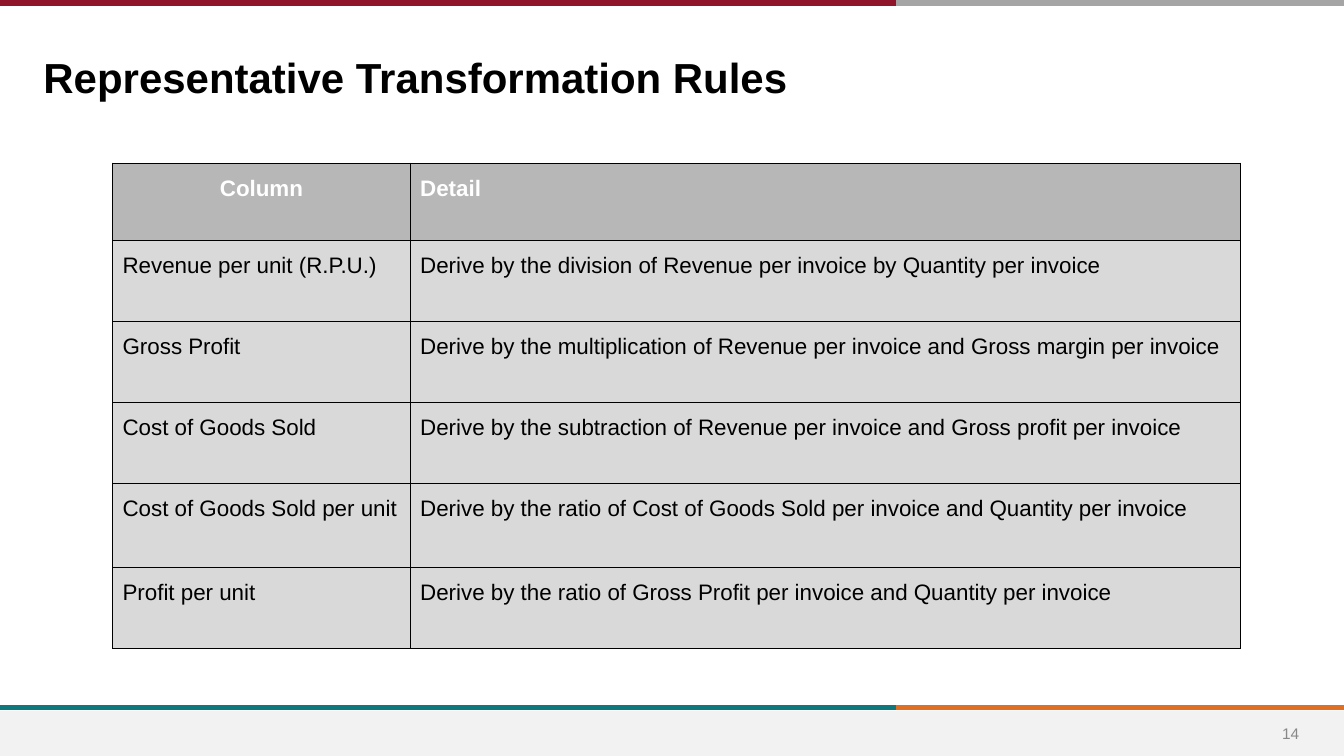
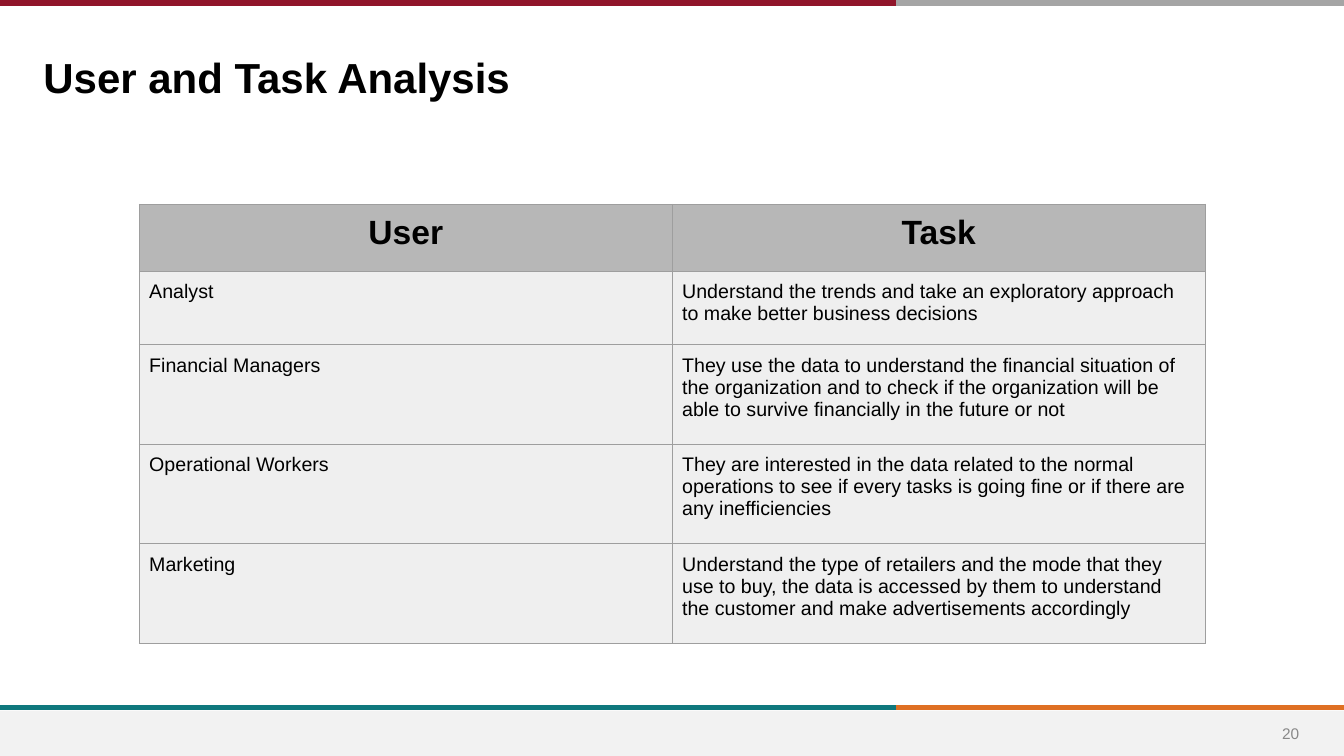
from lxml import etree
from pptx import Presentation
from pptx.dml.color import RGBColor
from pptx.enum.shapes import MSO_CONNECTOR, MSO_SHAPE
from pptx.enum.text import MSO_ANCHOR, MSO_AUTO_SIZE, PP_ALIGN
from pptx.oxml.ns import qn
from pptx.util import Cm, Pt

STRAIGHT = MSO_CONNECTOR.STRAIGHT
RECTANGLE = MSO_SHAPE.RECTANGLE
TOP, MIDDLE = MSO_ANCHOR.TOP, MSO_ANCHOR.MIDDLE
LEFT, CENTER = PP_ALIGN.LEFT, PP_ALIGN.CENTER
NO_AUTOFIT = MSO_AUTO_SIZE.NONE

COLORS = {
    "black": "000000",
    "white": "FFFFFF",
    "crimson": "90152A",
    "gray": "A5A5A5",
    "teal": "0F787D",
    "orange": "DF7023",
    "footer": "F2F2F2",
    "number": "888888",
    "header": "B7B7B7",
    "rule_body": "D9D9D9",
    "task_body": "EFEFEF",
    "task_border": "9E9E9E",
}
FONT = "Arial"
WIDTH, HEIGHT = 33.87, 19.05
SPLIT = round(WIDTH * 2 / 3, 2)
TOP_BAND, BOTTOM_BAND, FOOTER_TOP = 0.08, 17.83, 17.91
CELL_MARGIN = 0.25

RULES = [
    ("Column", "Detail"),
    ("Revenue per unit (R.P.U.)", "Derive by the division of Revenue per invoice by Quantity per invoice"),
    ("Gross Profit", "Derive by the multiplication of Revenue per invoice and Gross margin per invoice"),
    ("Cost of Goods Sold", "Derive by the subtraction of Revenue per invoice and Gross profit per invoice"),
    ("Cost of Goods Sold per unit", "Derive by the ratio of Cost of Goods Sold per invoice and Quantity per invoice"),
    ("Profit per unit", "Derive by the ratio of Gross Profit per invoice and Quantity per invoice"),
]
TASKS = [
    ("User", "Task"),
    ("Analyst", "Understand the trends and take an exploratory approach to make better business decisions"),
    ("Financial Managers", "They use the data to understand the financial situation of the organization and to "
     "check if the organization will be able to survive financially in the future or not"),
    ("Operational Workers", "They are interested in the data related to the normal operations to see if every "
     "tasks is going fine or if there are any inefficiencies"),
    ("Marketing", "Understand the type of retailers and the mode that they use to buy, the data is accessed "
     "by them to understand the customer and make advertisements accordingly"),
]


def rgb(name):
    return RGBColor.from_string(COLORS[name])


class DeckBuilder:
    """Holds the shared style, the deck and the current page."""

    def __init__(self):
        self.deck = Presentation()
        self.deck.slide_width, self.deck.slide_height = Cm(WIDTH), Cm(HEIGHT)
        self.page = None

    def add_page(self, title, number):
        self.page = self.deck.slides.add_slide(self.deck.slide_layouts[5])
        self.band(BOTTOM_BAND, "teal", "orange")
        self.footer()
        self.band(TOP_BAND, "crimson", "gray")
        self.number(number)
        self.title(title)

    def styled_text(self, frame, text, size, color, bold=False, align=LEFT):
        frame.text = text
        para = frame.paragraphs[0]
        para.alignment = align
        font = para.runs[0].font
        font.name, font.size, font.bold = FONT, Pt(size), bold
        font.color.rgb = rgb(color)
        return para

    def title(self, text):
        box = self.page.shapes.title
        box.left, box.top, box.width, box.height = Cm(0.84), Cm(1.17), Cm(27.05), Cm(1.5)
        frame = box.text_frame
        frame.auto_size, frame.vertical_anchor = NO_AUTOFIT, TOP
        self.styled_text(frame, text, 30, "black", bold=True)

    def number(self, number):
        box = self.page.shapes.add_textbox(Cm(31.65), Cm(17.96), Cm(1.75), Cm(1.02))
        frame = box.text_frame
        frame.word_wrap, frame.vertical_anchor = True, MIDDLE
        self.styled_text(frame, str(number), 11, "number", align=CENTER)

    def footer(self):
        box = self.page.shapes.add_shape(
            RECTANGLE, 0, Cm(FOOTER_TOP), Cm(WIDTH), Cm(HEIGHT - FOOTER_TOP))
        box.shadow.inherit = False
        box.fill.solid()
        box.fill.fore_color.rgb = rgb("footer")
        box.line.fill.background()

    def band(self, y, left_color, right_color):
        """Draw a full-width line in two colours, split at two thirds."""
        for start, end, color in ((SPLIT, WIDTH, right_color), (0, SPLIT, left_color)):
            line = self.page.shapes.add_connector(STRAIGHT, Cm(start), Cm(y), Cm(end), Cm(y))
            line.line.width = Pt(4)
            line.line.color.rgb = rgb(color)
            etree.SubElement(line._element.spPr, qn("a:effectLst"))

    def table(self, rows, left, top, widths, heights, body_fill, border,
              header_style, body_size, header_aligns, spacing=1.0):
        table = self.page.shapes.add_table(
            len(rows), len(widths), Cm(left), Cm(top), Cm(sum(widths)), Cm(sum(heights))).table
        table.horz_banding = False
        for column, width in zip(table.columns, widths):
            column.width = Cm(width)
        for index, (row, height, texts) in enumerate(zip(table.rows, heights, rows)):
            row.height = Cm(height)
            is_header = index == 0
            size, color = header_style if is_header else (body_size, "black")
            for cell, text, header_align in zip(row.cells, texts, header_aligns):
                align = header_align if is_header else LEFT
                para = self.styled_text(cell.text_frame, text, size, color, is_header, align)
                para.line_spacing = spacing
                self.style_cell(cell, "header" if is_header else body_fill, border)

    def style_cell(self, cell, fill, border):
        cell.margin_left = cell.margin_right = Cm(CELL_MARGIN)
        cell.margin_top = cell.margin_bottom = Cm(CELL_MARGIN)
        cell.fill.solid()
        cell.fill.fore_color.rgb = rgb(fill)
        properties = cell._tc.get_or_add_tcPr()
        for position, side in enumerate(("lnL", "lnR", "lnT", "lnB")):
            line = etree.Element(qn(f"a:{side}"), w=str(Pt(0.75)))
            solid = etree.SubElement(line, qn("a:solidFill"))
            etree.SubElement(solid, qn("a:srgbClr"), val=COLORS[border])
            properties.insert(position, line)


def main():
    builder = DeckBuilder()

    builder.add_page("Representative Transformation Rules", 14)
    builder.table(
        RULES, 2.84, 4.11, [7.5, 20.93], [1.94, 2.04, 2.04, 2.04, 2.12, 2.04],
        "rule_body", "black", header_style=(16, "white"), body_size=16,
        header_aligns=(CENTER, LEFT), spacing=1.15)

    builder.add_page("User and Task Analysis", 20)
    builder.table(
        TASKS, 3.51, 5.15, [13.43] * 2, [1.68, 1.85] + [2.51] * 3,
        "task_body", "task_border", header_style=(24, "black"), body_size=14,
        header_aligns=(CENTER, CENTER))

    builder.deck.save("out.pptx")


if __name__ == "__main__":
    main()
